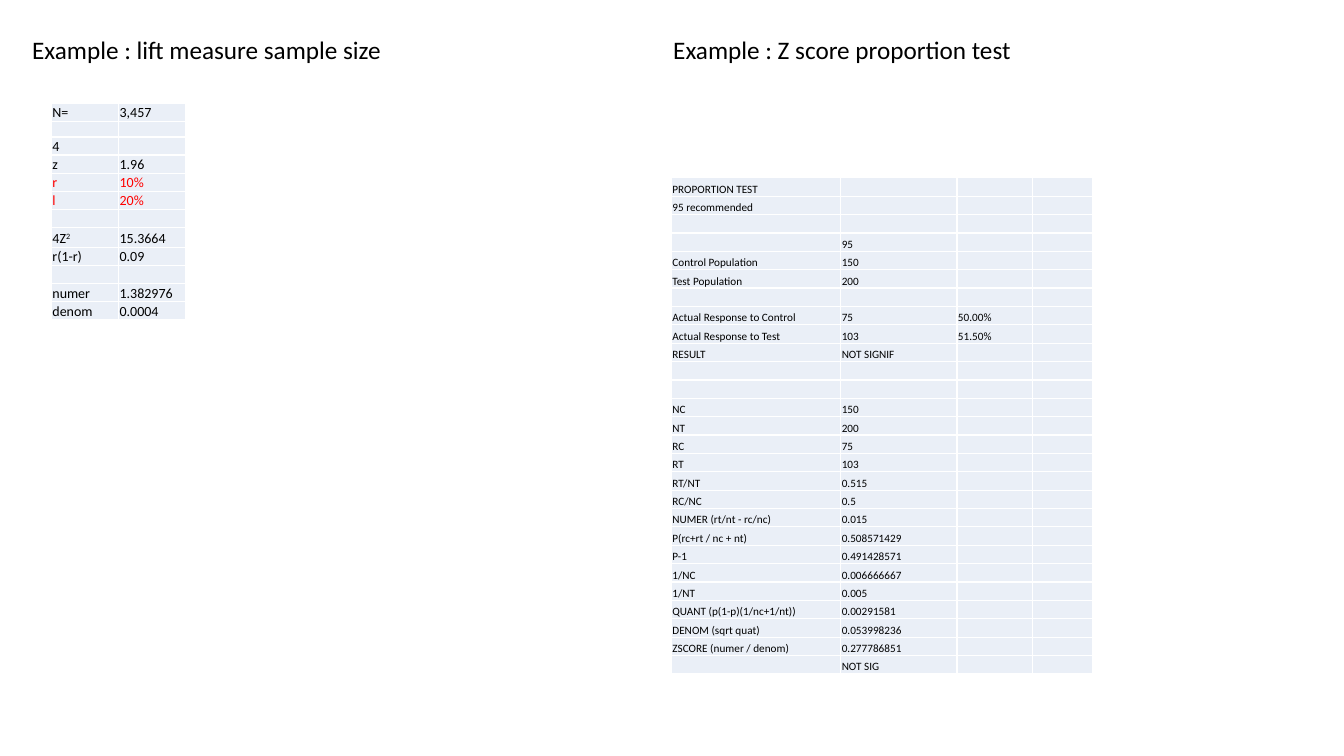
from dataclasses import dataclass
from lxml.etree import SubElement
from pptx import Presentation
from pptx.dml.color import RGBColor
from pptx.enum.text import MSO_ANCHOR, MSO_AUTO_SIZE, PP_ALIGN
from pptx.oxml.ns import qn
from pptx.util import Pt


@dataclass(frozen=True)
class Theme:
    face: str = "Calibri"
    ink: str = "000000"
    alert: str = "FF0000"
    fill: str = "EAEFF7"
    rule: str = "FFFFFF"
    head: float = 18
    lift: float = 10
    test: float = 8
    blank: float = 8
    inset: float = 0.7


THEME = Theme()

LIFT = [
    ("N=", "3,457"), (), ("4",), ("z", "1.96"), ("r", "10%"), ("l", "20%"), (),
    ("4Z^2", "15.3664"), ("r(1-r)", "0.09"), (),
    ("numer", "1.382976"), ("denom", "0.0004"),
]
TEST = [
    ("PROPORTION TEST",), ("95 recommended",), (), ("", "95"),
    ("Control Population", "150"), ("Test Population", "200"), (),
    ("Actual Response to Control", "75", "50.00%"),
    ("Actual Response to Test", "103", "51.50%"),
    ("RESULT", "NOT SIGNIF"), (), (),
    ("NC", "150"), ("NT", "200"), ("RC", "75"), ("RT", "103"),
    ("RT/NT", "0.515"), ("RC/NC", "0.5"),
    ("NUMER (rt/nt - rc/nc)", "0.015"),
    ("P(rc+rt / nc + nt)", "0.508571429"), ("P-1", "0.491428571"),
    ("1/NC", "0.006666667"), ("1/NT", "0.005"),
    ("QUANT (p(1-p)(1/nc+1/nt))", "0.00291581"),
    ("DENOM (sqrt quat)", "0.053998236"),
    ("ZSCORE (numer / denom)", "0.277786851"), ("", "NOT SIG"),
]


def style(para, size, color):
    para.font.name = THEME.face
    para.font.size = Pt(size)
    para.font.color.rgb = RGBColor.from_string(color)


def heading(shape, text, left, top, width):
    shape.left, shape.top = Pt(left), Pt(top)
    shape.width, shape.height = Pt(width), Pt(29)
    frame = shape.text_frame
    frame.text = text
    frame.word_wrap = False
    frame.auto_size = MSO_AUTO_SIZE.SHAPE_TO_FIT_TEXT
    frame.vertical_anchor = MSO_ANCHOR.TOP
    para = frame.paragraphs[0]
    para.alignment = PP_ALIGN.LEFT
    style(para, THEME.head, THEME.ink)


def border(cell):
    props = cell._tc.get_or_add_tcPr()
    for side in ("lnL", "lnR", "lnT", "lnB"):
        line = SubElement(props, qn(f"a:{side}"), w=str(Pt(1)))
        paint = SubElement(line, qn("a:solidFill"))
        SubElement(paint, qn("a:srgbClr"), val=THEME.rule)


def write(cell, text, size, color):
    border(cell)
    cell.fill.solid()
    cell.fill.fore_color.rgb = RGBColor.from_string(THEME.fill)
    cell.margin_left = cell.margin_right = cell.margin_top = Pt(THEME.inset)
    cell.margin_bottom = 0
    cell.vertical_anchor = MSO_ANCHOR.BOTTOM
    para = cell.text_frame.paragraphs[0]
    style(para, size if text else THEME.blank, color)
    if not text:
        SubElement(para._p, qn("a:endParaRPr"), sz=str(int(THEME.blank * 100)))
        return
    base, _, power = text.partition("^")
    para.add_run().text = base
    if power:
        run = para.add_run()
        run.text = power
        run._r.get_or_add_rPr().set("baseline", "30000")


def grid(slide, rows, left, top, widths, heights, size, alerts=()):
    frame = slide.shapes.add_table(
        len(rows), len(widths), Pt(left), Pt(top), Pt(sum(widths)), Pt(sum(heights)))
    table = frame.table
    table.first_row = table.horz_banding = False
    for column, width in zip(table.columns, widths):
        column.width = Pt(width)
    for y, (row, height) in enumerate(zip(rows, heights)):
        table.rows[y].height = Pt(height)
        color = THEME.alert if y in alerts else THEME.ink
        for x in range(len(widths)):
            write(table.cell(y, x), row[x] if x < len(row) else "", size, color)


def lift_side(slide, left, top):
    heading(slide.shapes.title, "Example : lift measure sample size", left, top, 275)
    heights = [13] * len(LIFT)
    heights[1], heights[7] = 11, 14
    grid(slide, LIFT, left + 21, top + 52.8, [48, 48], heights, THEME.lift, (4, 5))


def test_side(slide, left, top):
    box = slide.shapes.add_textbox(Pt(left), Pt(top), Pt(258), Pt(29))
    heading(box, "Example : Z score proportion test", left, top, 258)
    grid(slide, TEST, left + 5.8, top + 106, [121, 83, 54, 43],
         [13.13] * len(TEST), THEME.test)


def main():
    deck = Presentation()
    deck.slide_width, deck.slide_height = Pt(960), Pt(540)
    slide = deck.slides.add_slide(deck.slide_layouts.get_by_name("Title Only"))
    lift_side(slide, 15.8, 21)
    test_side(slide, 473.8, 21)
    deck.save("out.pptx")


if __name__ == "__main__":
    main()
